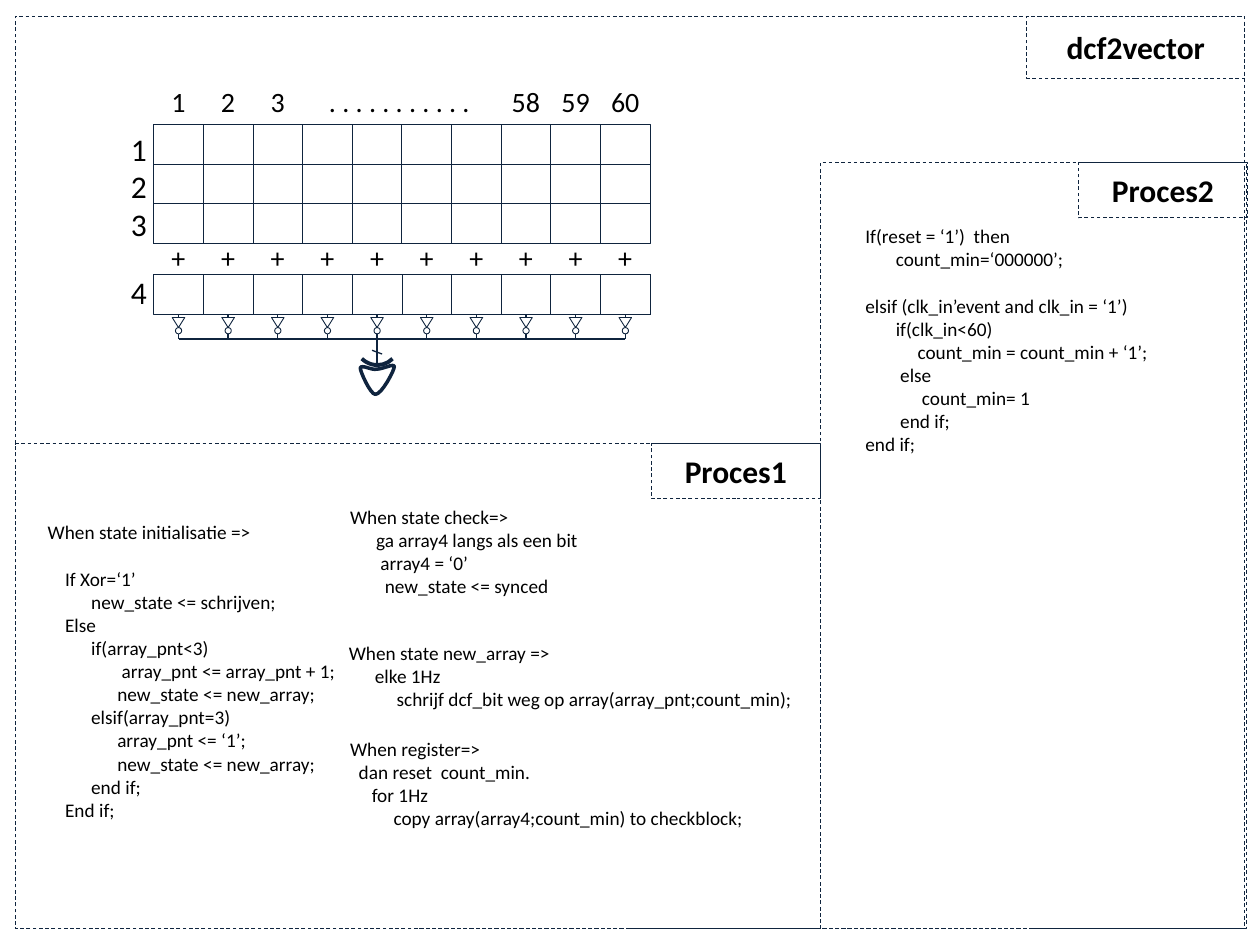
import pptx
import pptx.util
import pptx.dml.color
import pptx.enum.shapes
import pptx.enum.text
import pptx.enum.dml
from lxml import etree

Inches, Pt = pptx.util.Inches, pptx.util.Pt
SHAPE = pptx.enum.shapes.MSO_SHAPE
ALIGN = pptx.enum.text.PP_ALIGN
RGB = pptx.dml.color.RGBColor.from_string


class Theme:
    font = "Calibri"
    ink, text, paper = RGB("0F243E"), RGB("000000"), RGB("FFFFFF")
    title, labels, code = 18, 16, 11
    thin, wire, gate, gate_arc = 0.5, 0.75, 2, 2.25
    space_width = 0.226
    blank_line = 13.4


BLOCKS = [
    ((0.28, 4.08, 2.62, 2.51), [
        (0, "When state initialisatie =>"), None,
        (4, "If Xor=‘1’"), (10, "new_state <= schrijven;"), (4, "Else"),
        (10, "if(array_pnt<3)"), (17, "array_pnt <= array_pnt + 1;"),
        (16, "new_state <= new_array;"), (10, "elsif(array_pnt=3)"),
        (16, "array_pnt <= ‘1’;"), (16, "new_state <= new_array;"),
        (10, "end if;"), (4, "End if;")]),
    ((2.68, 3.96, 2.24, 0.84), [
        (0, "When state check=>"), (6, "ga array4 langs als een bit"),
        (7, "array4 = ‘0’"), (8, "new_state <= synced")]),
    ((2.67, 5.04, 3.84, 0.84), [
        (0, "When state new_array =>"), (6, "elke 1Hz"),
        (11, "schrijf dcf_bit weg op array(array_pnt;count_min);")]),
    ((2.68, 5.8, 3.73, 0.84), [
        (0, "When register=>"), (2, "dan reset  count_min."), (5, "for 1Hz"),
        (10, "copy array(array4;count_min) to checkblock;")]),
    ((6.77, 1.73, 2.56, 1.95), [
        (0, "If(reset = ‘1’)  then"), (7, "count_min=‘000000’;"), None,
        (0, "elsif (clk_in’event and clk_in = ‘1’)"), (7, "if(clk_in<60)"),
        (12, "count_min = count_min + ‘1’;"), (8, "else"),
        (13, "count_min= 1"), (8, "end if;"), (0, "end if;")]),
]
FRAMES = [
    ((0.12, 0.13, 9.76, 7.24), (8.15, 0.13, 1.73, 0.49), "dcf2vector"),
    ((0.12, 3.52, 6.39, 3.85), (5.17, 3.52, 1.34, 0.44), "Proces1"),
    ((6.51, 1.29, 3.38, 6.08), (8.56, 1.29, 1.34, 0.44), "Proces2"),
]
COLUMN_HEADS = {0: "1", 1: "2", 2: "3", 4.45: ". . . . . . . . . . .",
                7: "58", 8: "59", 9: "60"}
ROW_HEADS = ["1", "2", "3", "4"]
COLUMNS, CELL_W, CELL_H = 10, 0.394, 0.313
GRID_X, GRID_Y, SUM_Y, BUS_Y = 1.22, 0.99, 2.18, 2.69
GATE_START = (3.13, 2.91)
GATE_CURVES = [
    ((3.13, 2.94), (3.03, 3.13), (2.98, 3.13)),
    ((2.94, 3.13), (2.86, 2.95), (2.86, 2.92)),
    ((2.87, 2.89), (2.95, 2.94), (2.99, 2.93)),
    ((3.04, 2.93), (3.13, 2.88), (3.13, 2.91)),
]

deck = pptx.Presentation()
deck.slide_width, deck.slide_height = Inches(10), Inches(7.5)
slide = deck.slides.add_slide(deck.slide_layouts[6])


def style(shape, weight=Theme.thin, filled=False, dashed=False):
    shape.shadow.inherit = False
    if filled:
        shape.fill.solid()
        shape.fill.fore_color.rgb = Theme.paper
    else:
        shape.fill.background()
    shape.line.color.rgb = Theme.ink
    shape.line.width = Pt(weight)
    if dashed:
        shape.line.dash_style = pptx.enum.dml.MSO_LINE.DASH
    return shape


def draw(kind, box, **look):
    return style(slide.shapes.add_shape(kind, *map(Inches, box)), **look)


def wire(*ends):
    line = slide.shapes.add_connector(
        pptx.enum.shapes.MSO_CONNECTOR.STRAIGHT, *map(Inches, ends))
    line.line.color.rgb = Theme.ink
    line.line.width = Pt(Theme.wire)
    etree.SubElement(line._element.spPr, pptx.oxml.ns.qn("a:effectLst"))


def set_font(paragraph, size, bold=False):
    font = paragraph.font
    font.name, font.size, font.bold = Theme.font, Pt(size), bold
    font.color.rgb = Theme.text


def write(box, lines, size, blank=Theme.blank_line):
    frame = slide.shapes.add_textbox(*map(Inches, box)).text_frame
    frame.word_wrap = True
    paragraph, gap = frame.paragraphs[0], 0
    for line in lines:
        if line is None:
            gap = blank
            continue
        if paragraph.text:
            paragraph = frame.add_paragraph()
        indent, paragraph.text = line
        set_font(paragraph, size)
        if gap:
            paragraph.space_before = Pt(gap)
        if indent:
            paragraph._p.get_or_add_pPr().set(
                "marL", str(Pt(indent * size * Theme.space_width)))
        gap = 0
    return frame


def column_center(column):
    return GRID_X + CELL_W * (column + 0.5)


def write_across(box, labels):
    text = "".join("\t" + label for label in labels.values())
    frame = write(box, [(0, text)], Theme.labels)
    stops = etree.SubElement(frame.paragraphs[0]._p.get_or_add_pPr(),
                             pptx.oxml.ns.qn("a:tabLst"))
    for column in labels:
        offset = Inches(column_center(column) - box[0] - 0.1)
        etree.SubElement(stops, pptx.oxml.ns.qn("a:tab"),
                         pos=str(offset), algn="ctr")


grid_w, grid_h = COLUMNS * CELL_W, 3 * CELL_H
draw(SHAPE.RECTANGLE, (GRID_X, GRID_Y, grid_w, grid_h))
for column in range(0, COLUMNS, 2):
    draw(SHAPE.RECTANGLE, (GRID_X + column * CELL_W, GRID_Y, CELL_W, grid_h))
draw(SHAPE.RECTANGLE, (GRID_X, GRID_Y + CELL_H, grid_w, CELL_H))
draw(SHAPE.RECTANGLE, (GRID_X, SUM_Y, grid_w, CELL_H))
for column in range(1, COLUMNS, 2):
    draw(SHAPE.RECTANGLE, (GRID_X + column * CELL_W, SUM_Y, CELL_W, CELL_H))

write_across((1.14, 1.86, 4.12, 0.37), {c: "+" for c in range(COLUMNS)})
write_across((1.14, 0.62, 4.12, 0.37), COLUMN_HEADS)
row_lines = [(0, head) for head in ROW_HEADS]
write((0.94, 0.98, 0.24, 1.58), row_lines[:3] + [None] + row_lines[3:],
      Theme.title, blank=17)

for column in range(COLUMNS):
    x = column_center(column)
    wire(x, SUM_Y + CELL_H, x, BUS_Y)
    inverter = draw(SHAPE.ISOSCELES_TRIANGLE, (x - 0.05, 2.52, 0.1, 0.08), filled=True)
    inverter._element.spPr.xfrm.set("flipV", "1")
    draw(SHAPE.OVAL, (x - 0.025, 2.6, 0.05, 0.05), filled=True)

bus_x = column_center(4)
wire(column_center(0), BUS_Y, column_center(9), BUS_Y)
wire(bus_x, BUS_Y, bus_x, 2.88)
wire(bus_x - 0.04, 2.78, bus_x + 0.04, 2.81)

points, start = [], GATE_START
for a, b, end in GATE_CURVES:
    for step in range(1, 9):
        t = step / 8
        u = 1 - t
        points.append(tuple(
            Inches(u**3 * p + 3 * u * u * t * q + 3 * u * t * t * r + t**3 * s)
            for p, q, r, s in zip(start, a, b, end)))
    start = end
gate = slide.shapes.build_freeform(*map(Inches, GATE_START), scale=1.0)
gate.add_line_segments(points, close=True)
style(gate.convert_to_shape(), Theme.gate, filled=True)
draw(SHAPE.ARC, (2.82, 2.55, 0.34, 0.35), weight=Theme.gate_arc).rotation = 134.4

for frame_box, tag_box, name in FRAMES:
    draw(SHAPE.RECTANGLE, frame_box, dashed=True)
    tag = draw(SHAPE.RECTANGLE, tag_box, dashed=True).text_frame
    tag.vertical_anchor = pptx.enum.text.MSO_ANCHOR.MIDDLE
    heading = tag.paragraphs[0]
    heading.text, heading.alignment = name, ALIGN.CENTER
    set_font(heading, Theme.title, bold=True)

for box, lines in BLOCKS:
    write(box, lines, Theme.code)

deck.save("out.pptx")
